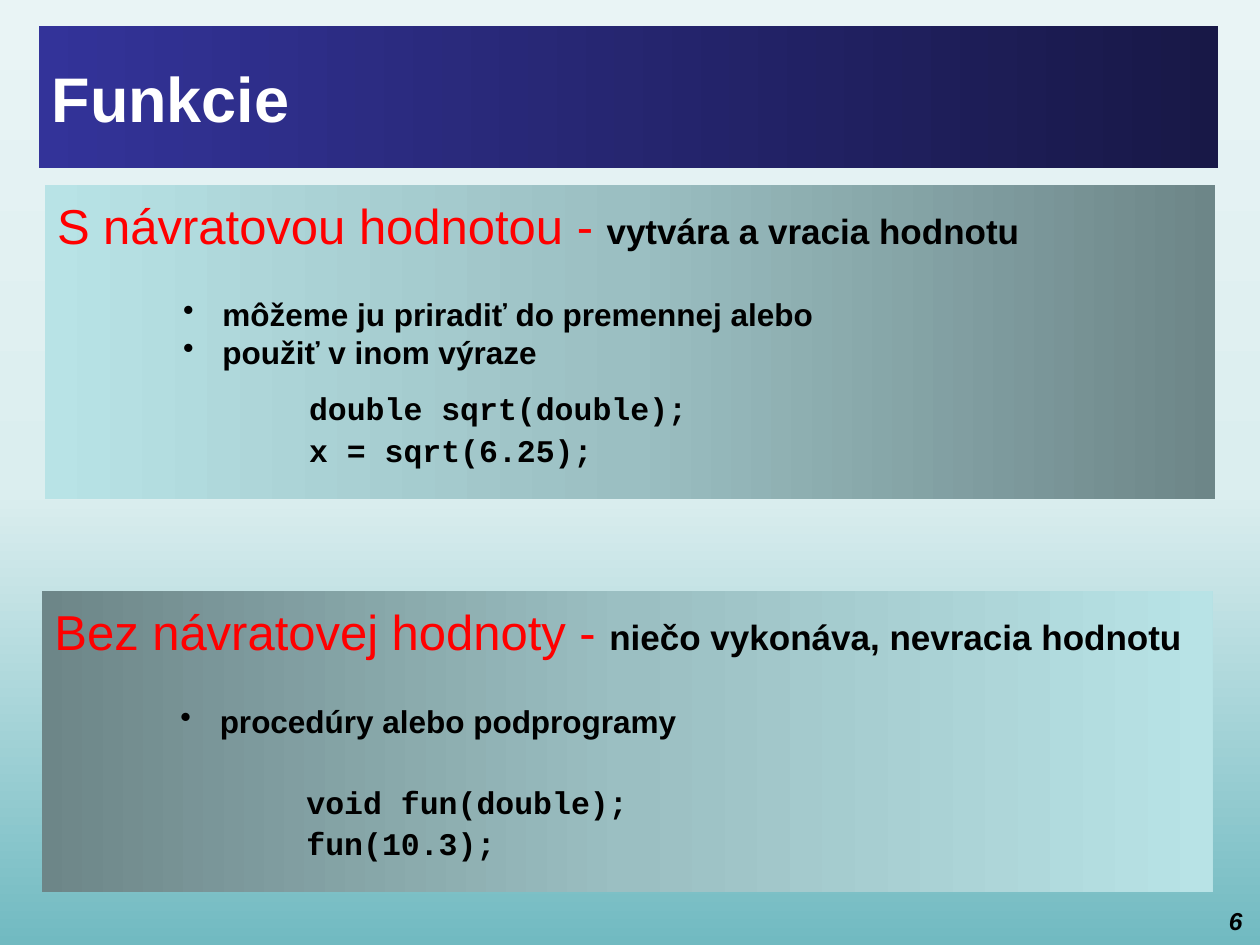
"""Build the slide about functions with and without a return value."""
from lxml import etree
from pptx import Presentation
from pptx.dml.color import RGBColor
from pptx.enum.shapes import MSO_SHAPE
from pptx.enum.text import MSO_ANCHOR, MSO_AUTO_SIZE, PP_ALIGN
from pptx.oxml.ns import qn
from pptx.util import Pt

RECT = MSO_SHAPE.RECTANGLE
TOP, MIDDLE = MSO_ANCHOR.TOP, MSO_ANCHOR.MIDDLE
LEFT, RIGHT = PP_ALIGN.LEFT, PP_ALIGN.RIGHT
FIXED = MSO_AUTO_SIZE.NONE

WHITE = RGBColor(0xFF, 0xFF, 0xFF)
BLACK = RGBColor(0, 0, 0)
RED = RGBColor(0xFF, 0, 0)
NAVY = RGBColor(0x33, 0x33, 0x99)
NIGHT = RGBColor(0x18, 0x18, 0x47)
SLATE = RGBColor(0x6D, 0x86, 0x88)
TEAL = RGBColor(0x9B, 0xBF, 0xC2)
AQUA = RGBColor(0xB8, 0xE3, 0xE6)
SEA = RGBColor(0x71, 0xBA, 0xC1)
MIST = RGBColor(0xDB, 0xEE, 0xEF)
PALE = RGBColor(0xE9, 0xF4, 0xF5)
SANS, MONO = "Arial", "Courier New"


def shade(fill, root, angle, stops):
    fill.gradient()
    fill.gradient_angle = angle
    ramp = root.find(".//" + qn("a:gsLst"))
    ramp.clear()
    for place, color in stops:
        stop = etree.SubElement(ramp, qn("a:gs"), pos=str(place * 1000))
        etree.SubElement(stop, qn("a:srgbClr"), val=str(color))


def write(para, text, size, color=BLACK, bold=True, face=SANS):
    run = para.add_run()
    run.text = text
    font = run.font
    font.name, font.size, font.bold = face, Pt(size), bold
    font.color.rgb = color
    return run


deck = Presentation()
deck.slide_width, deck.slide_height = Pt(720), Pt(540)
slide = deck.slides.add_slide(deck.slide_layouts[5])
shade(slide.background.fill, slide.element, 90, [(0, SEA), (48, MIST), (100, PALE)])

title = slide.shapes.title
title.left, title.top, title.width, title.height = Pt(22.3), Pt(15), Pt(674), Pt(81)
shade(title.fill, title.element, 0, [(0, NAVY), (100, NIGHT)])
frame = title.text_frame
frame.auto_size, frame.vertical_anchor = FIXED, MIDDLE
para = frame.paragraphs[0]
para.alignment = LEFT
write(para, "Funkcie", 36, WHITE)

page = slide.shapes.add_textbox(Pt(679), Pt(514), Pt(38), Pt(22))
page.text_frame.word_wrap = True
para = page.text_frame.paragraphs[0]
para.alignment = RIGHT
write(para, "6", 14).font.italic = True

PANELS = [
    (25.5, 105.7, 179.3, 180, "S návratovou hodnotou - ", "vytvára a vracia hodnotu",
     [("môžeme ju priradiť do premennej alebo", 23.5), ("použiť v\u00a0inom výraze", 0)],
     [("double sqrt(double);", 10), ("x = sqrt(6.25);", 2.5)]),
    (24, 338, 172, 0, "Bez návratovej hodnoty - ", "niečo vykonáva, nevracia hodnotu",
     [("procedúry alebo podprogramy", 23.5)],
     [("void fun(double);", 24.5), ("fun(10.3);", 2)]),
]
for left, top, height, angle, head, note, points, code in PANELS:
    panel = slide.shapes.add_shape(RECT, Pt(left), Pt(top), Pt(669), Pt(height))
    panel.shadow.inherit = False
    panel.line.fill.background()
    shade(panel.fill, panel.element, angle, [(0, SLATE), (50, TEAL), (100, AQUA)])
    frame = panel.text_frame
    frame.word_wrap, frame.vertical_anchor = True, TOP
    frame.margin_top = Pt(6)
    para = frame.paragraphs[0]
    para.alignment = LEFT
    write(para, head, 28, RED, False)
    write(para, note, 20)
    rows = [(*row, SANS) for row in points] + [(*row, MONO) for row in code]
    for text, gap, face in rows:
        para = frame.add_paragraph()
        para.alignment, para.space_before = LEFT, Pt(gap)
        props = para._p.get_or_add_pPr()
        if face == SANS:
            props.set("marL", str(Pt(94.5)))
            props.set("indent", str(Pt(-22.5)))
            etree.SubElement(props, qn("a:buChar"), char="•")
        else:
            props.set("marL", str(Pt(144)))
        write(para, text, 18, face=face)

deck.save("out.pptx")
